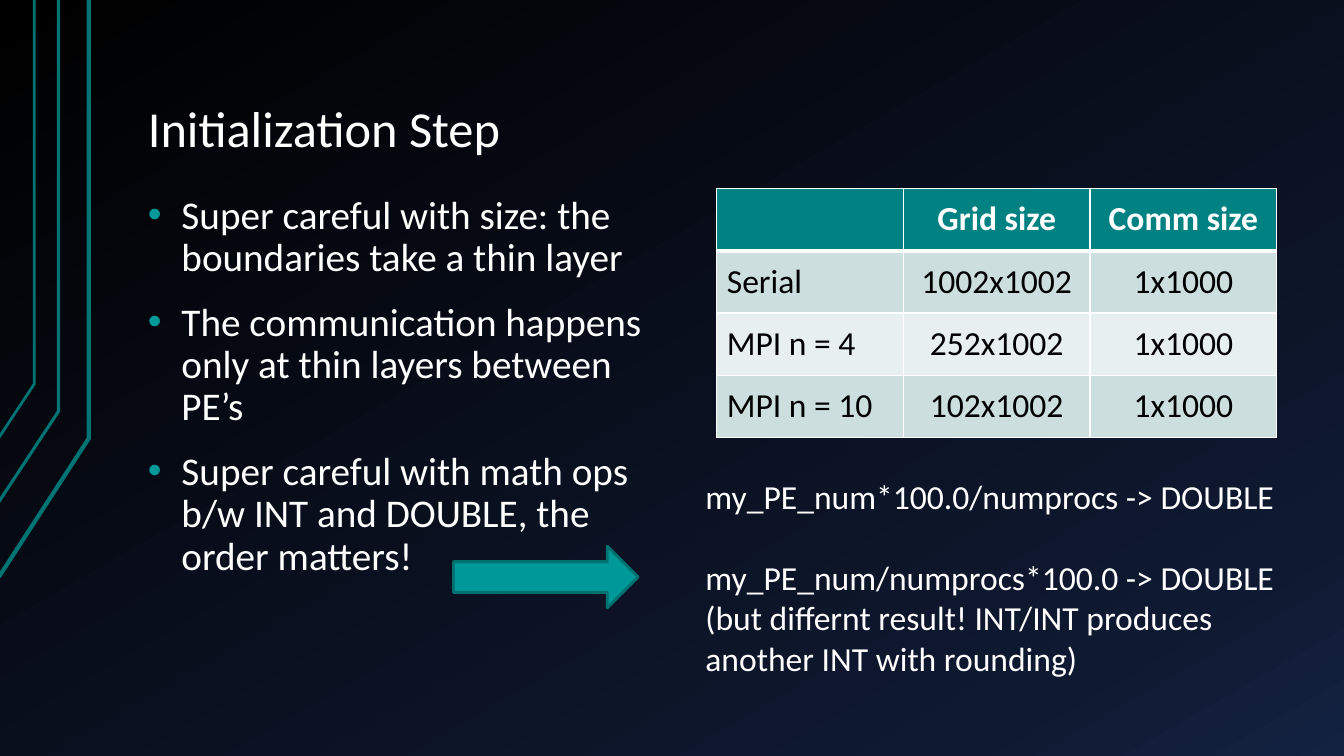
from copy import deepcopy

from lxml.etree import SubElement
from pptx import Presentation
from pptx.dml.color import RGBColor
from pptx.enum.shapes import MSO_SHAPE
from pptx.enum.text import MSO_ANCHOR as ANCHOR, PP_ALIGN as ALIGN
from pptx.oxml import parse_xml
from pptx.oxml.ns import nsdecls, qn
from pptx.util import Pt


def rgb(color):
    return RGBColor.from_string(color)


def style(p, size, color="FFFFFF", bold=False):
    for r in p.runs:
        r.font.name = "Calibri"
        r.font.size = Pt(size)
        r.font.bold = bold
        r.font.color.rgb = rgb(color)


prs = Presentation()
prs.slide_width, prs.slide_height = Pt(960), Pt(540)
s = prs.slides.add_slide(prs.slide_layouts[6])

# Background gradient
fill = s.background.fill
fill.gradient()
fill.gradient_angle = 300
stop_list = s._element.find(".//" + qn("a:gsLst"))
stop_list.append(deepcopy(stop_list[0]))
stops = [(0, "000000"), (0.85, "0F1931"), (1, "142242")]
for stop, (position, color) in zip(fill.gradient_stops, stops):
    stop.position = position
    stop.color.rgb = rgb(color)

# Bent lines at the left edge: foot, bend, width
bent_lines = [
    (-0.7, 412, 63.4, 313.2, 3),
    (-1.4, 359.3, 41.8, 293.8, 2.25),
    (-0.7, 312.5, 24.5, 274.3, 2),
]
for foot_x, foot_y, bend_x, bend_y, width in bent_lines:
    builder = s.shapes.build_freeform(Pt(foot_x), Pt(foot_y))
    builder.add_line_segments([(Pt(bend_x), Pt(bend_y)), (Pt(bend_x), 0)], close=False)
    sp = builder.convert_to_shape()
    sp.shadow.inherit = False
    sp.fill.background()
    sp.line.color.rgb = rgb("007373")
    sp.line.width = Pt(width)

# Title
title = s.shapes.add_textbox(Pt(96), Pt(21.6), Pt(816), Pt(96.5))
body = s.shapes.add_textbox(Pt(96), Pt(134.6), Pt(400), Pt(351.4))
for box in (title, body):
    tf = box.text_frame
    tf.word_wrap = True
    tf.margin_left = tf.margin_right = Pt(9.6)
    tf.margin_top = tf.margin_bottom = Pt(4.8)
tf = title.text_frame
tf.vertical_anchor = ANCHOR.BOTTOM
tf.text = "Initialization Step"
tf.paragraphs[0].line_spacing = 0.9
style(tf.paragraphs[0], 36)

# Bullets
tf = body.text_frame
tf.text = "\n".join([
    "Super careful with size: the boundaries take a thin layer",
    "The communication happens only at thin layers between PE’s",
    "Super careful with math ops b/w INT and DOUBLE, the order matters!",
])
for p in tf.paragraphs:
    p.line_spacing = 0.9
    p.space_before = Pt(16)
    style(p, 28)
    pPr = p._p.get_or_add_pPr()
    pPr.set("marL", str(Pt(24)))
    pPr.set("indent", str(Pt(-24)))
    bullet_color = SubElement(pPr, qn("a:buClr"))
    SubElement(bullet_color, qn("a:srgbClr"), val="009999")
    SubElement(pPr, qn("a:buFont"), typeface="Arial")
    SubElement(pPr, qn("a:buChar"), char="•")

# Table of sizes
rows = [
    ("", "Grid size", "Comm size"),
    ("Serial", "1002x1002", "1x1000"),
    ("MPI n = 4", "252x1002", "1x1000"),
    ("MPI n = 10", "102x1002", "1x1000"),
]
row_fills = ["008282", "CCDEDE", "E7EFEF", "CCDEDE"]
table = s.shapes.add_table(4, 3, Pt(512), Pt(134.6), Pt(400), Pt(178)).table
for i, row in enumerate(rows):
    table.rows[i].height = Pt(44.5)
    for j, text in enumerate(row):
        cell = table.cell(i, j)
        cell.text = text
        cell.vertical_anchor = ANCHOR.MIDDLE
        cell.fill.solid()
        cell.fill.fore_color.rgb = rgb(row_fills[i])
        p = cell.text_frame.paragraphs[0]
        p.alignment = ALIGN.CENTER if j else ALIGN.LEFT
        style(p, 24, "000000" if i else "FFFFFF", bold=i == 0)
        tcPr = cell._tc.get_or_add_tcPr()
        for k, side in enumerate(["lnL", "lnR", "lnT", "lnB"]):
            under_header = (i, side) in [(0, "lnB"), (1, "lnT")]
            tcPr.insert(k, parse_xml(
                f'<a:{side} {nsdecls("a")} w="{Pt(3 if under_header else 1)}">'
                f'<a:solidFill><a:srgbClr val="FFFFFF"/></a:solidFill></a:{side}>'))

# Order of operations
tf = s.shapes.add_textbox(Pt(496.8), Pt(336.2), Pt(448.6), Pt(152.6)).text_frame
tf.word_wrap = True
tf.text = (
    "my_PE_num*100.0/numprocs -> DOUBLE\n"
    "my_PE_num/numprocs*100.0 -> DOUBLE (but differnt result! "
    "INT/INT produces another INT with rounding)"
)
for p in tf.paragraphs:
    style(p, 24)
tf.paragraphs[1].space_before = Pt(29.3)

# Arrow to the formulas
arrow = s.shapes.add_shape(MSO_SHAPE.RIGHT_ARROW, Pt(324), Pt(390.2), Pt(131.8), Pt(44))
arrow.shadow.inherit = False
arrow.fill.solid()
arrow.fill.fore_color.rgb = rgb("009999")
arrow.line.color.rgb = rgb("007171")
arrow.line.width = Pt(2)

prs.save("out.pptx")
